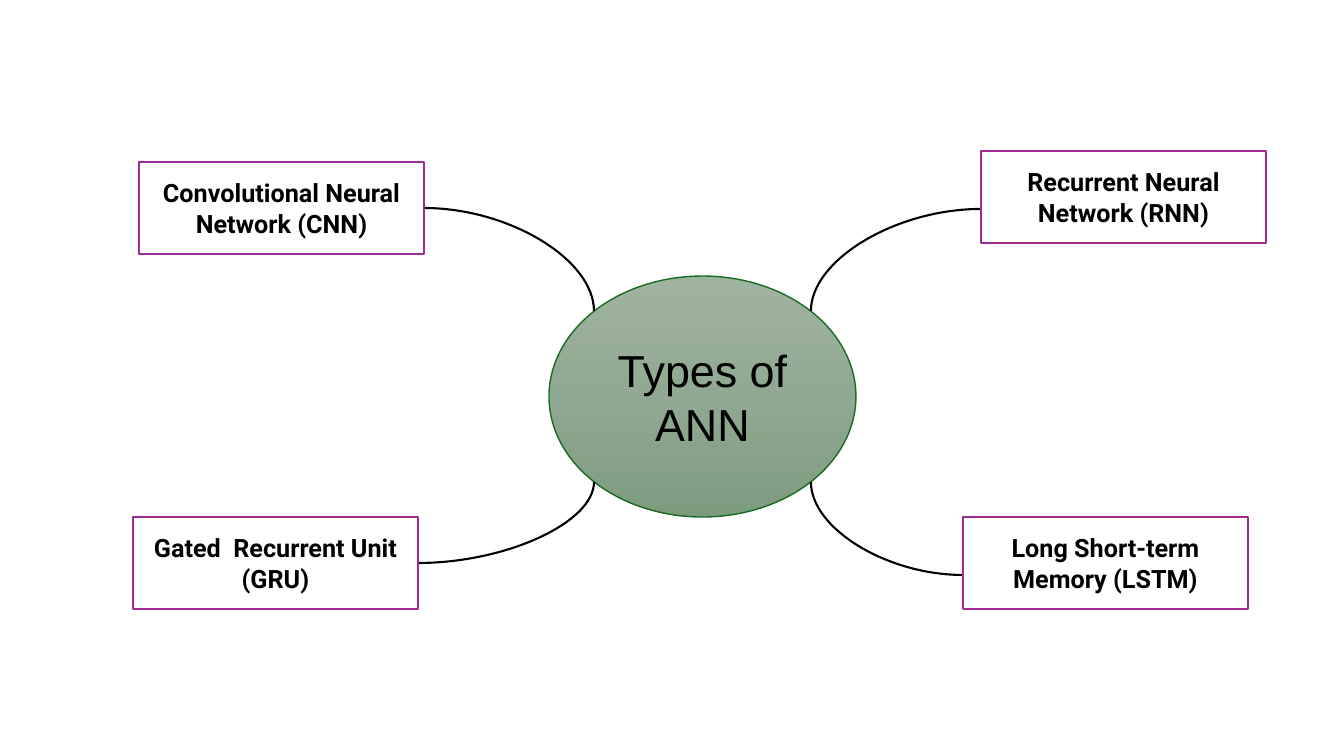
from copy import deepcopy
from dataclasses import dataclass
from math import sqrt

from pptx import Presentation
from pptx.dml.color import RGBColor as Rgb
from pptx.enum.shapes import MSO_CONNECTOR as Link, MSO_SHAPE as Kind
from pptx.enum.text import MSO_ANCHOR as Anchor, PP_ALIGN as Align
from pptx.oxml.ns import qn
from pptx.oxml.xmlchemy import OxmlElement as Node
from pptx.shapes.autoshape import Shape
from pptx.slide import Slide
from pptx.util import Emu, Pt

SCALE = 12192000 / 1344


@dataclass(frozen=True)
class Theme:
    ink: str = "000000"
    paper: str = "FFFFFF"
    frame: str = "A02B93"
    rim: str = "196B24"
    shades: tuple[tuple[float, str], ...] = (
        (0, "9EB49F"), (0.5, "91A892"), (1, "7D9C7E"))
    hub_font: str = "Arial"
    box_font: str = "Roboto"
    hub_size: int = 32
    box_size: int = 18
    thin: float = 1
    line: float = 1.5


@dataclass(frozen=True)
class Area:
    left: int
    top: int
    width: int
    height: int


@dataclass(frozen=True)
class Branch:
    """A labelled box; join is the drop from its top to the curve."""
    text: str
    left: int
    top: int
    join: int


THEME = Theme()
HUB = Area(549, 276, 307, 241)
BOX_W, BOX_H = 285, 92
BRANCHES = (
    Branch("Convolutional Neural Network (CNN)", 139, 162, 46),
    Branch("Recurrent Neural Network (RNN)", 981, 151, 58),
    Branch("Long Short-term Memory (LSTM)", 963, 517, 58),
    Branch("Gated  Recurrent Unit (GRU)", 133, 517, 46),
)


def px(count: int) -> Emu:
    return Emu(round(count * SCALE))


def add_node(slide: Slide, kind: Kind, area: Area, rim: str, width: float) -> Shape:
    node = slide.shapes.add_shape(
        kind, px(area.left), px(area.top), px(area.width), px(area.height))
    node.shadow.inherit = False
    node.line.color.rgb = Rgb.from_string(rim)
    node.line.width = Pt(width)
    return node


def add_text(node: Shape, text: str, font: str, size: int, bold: bool) -> None:
    frame = node.text_frame
    frame.word_wrap = True
    frame.vertical_anchor = Anchor.MIDDLE
    line = frame.paragraphs[0]
    line.alignment = Align.CENTER
    run = line.add_run()
    run.text = text
    run.font.name = font
    run.font.size = Pt(size)
    run.font.bold = bold
    run.font.color.rgb = Rgb.from_string(THEME.ink)


def shade(node: Shape) -> None:
    """Fill with the theme's gradient, from top to bottom."""
    fill = node.fill
    fill.gradient()
    fill.gradient_angle = 270
    stops = node.element.spPr.find(qn("a:gradFill")).find(qn("a:gsLst"))
    stops.append(deepcopy(stops[-1]))
    for stop, (place, color) in zip(fill.gradient_stops, THEME.shades):
        stop.position = place
        stop.color.rgb = Rgb.from_string(color)


def add_hub(slide: Slide) -> None:
    hub = add_node(slide, Kind.OVAL, HUB, THEME.rim, THEME.thin)
    shade(hub)
    add_text(hub, "Types of ANN", THEME.hub_font, THEME.hub_size, False)


def add_curve(slide: Slide, branch: Branch) -> None:
    """Run a quarter curve from the box to the hub's nearest diagonal point."""
    mid_x = HUB.left + HUB.width / 2
    mid_y = HUB.top + HUB.height / 2
    on_left = branch.left < mid_x
    start_x = branch.left + BOX_W * on_left
    start_y = branch.top + branch.join
    end_x = round(mid_x + (-1 if on_left else 1) * HUB.width / sqrt(8))
    end_y = round(mid_y + (-1 if start_y < mid_y else 1) * HUB.height / sqrt(8))
    curve = slide.shapes.add_connector(
        Link.CURVE, px(start_x), px(start_y), px(end_x), px(end_y))
    curve.line.color.rgb = Rgb.from_string(THEME.ink)
    curve.line.width = Pt(THEME.line)
    props = curve.element.spPr
    props.find(qn("a:prstGeom")).set("prst", "curvedConnector2")
    props.append(Node("a:effectLst"))


def add_box(slide: Slide, branch: Branch) -> None:
    area = Area(branch.left, branch.top, BOX_W, BOX_H)
    box = add_node(slide, Kind.RECTANGLE, area, THEME.frame, THEME.line)
    box.fill.solid()
    box.fill.fore_color.rgb = Rgb.from_string(THEME.paper)
    add_text(box, branch.text, THEME.box_font, THEME.box_size, True)


def main() -> None:
    deck = Presentation()
    deck.slide_width, deck.slide_height = px(1344), px(756)
    slide = deck.slides.add_slide(deck.slide_layouts[6])
    add_hub(slide)
    for branch in BRANCHES:
        add_curve(slide, branch)
        add_box(slide, branch)
    deck.save("out.pptx")


if __name__ == "__main__":
    main()
